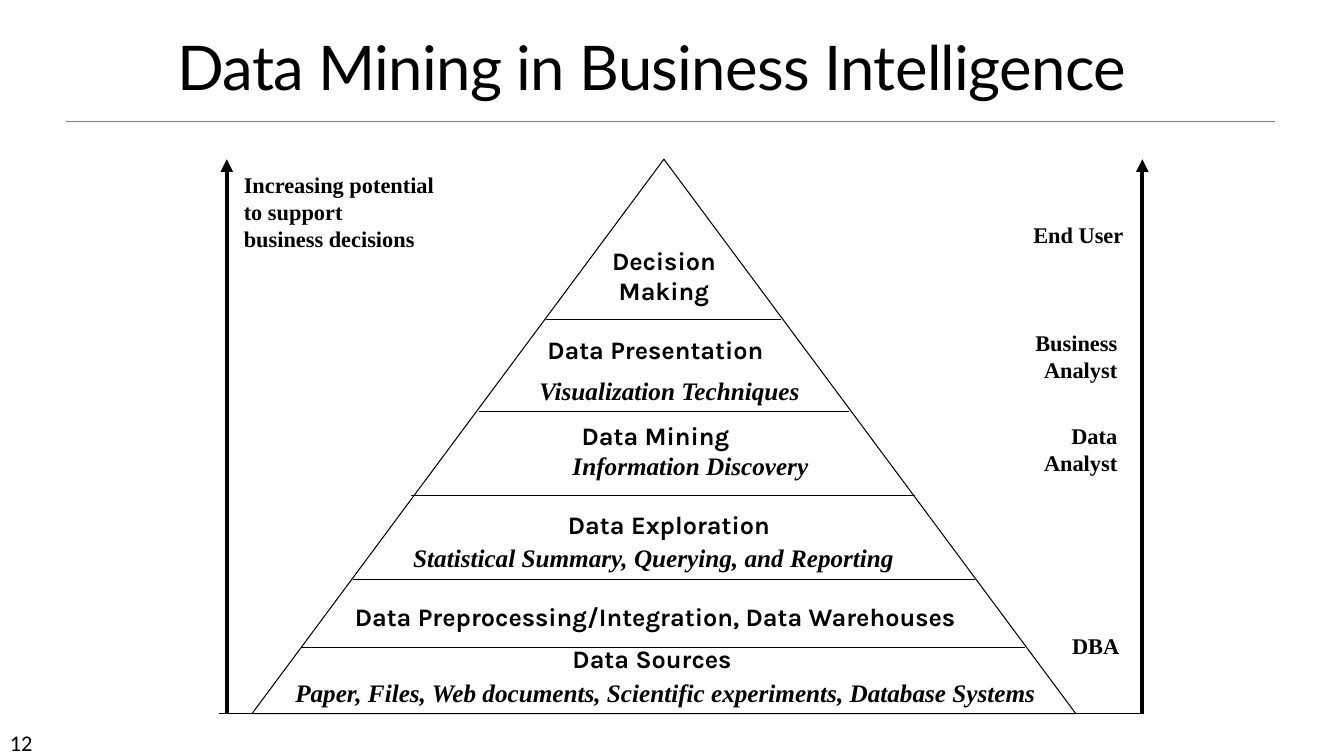
"""Build the business intelligence pyramid slide."""
from dataclasses import dataclass
from typing import Any

from lxml import etree
from pptx import Presentation
from pptx import util as u
from pptx.dml import color
from pptx.enum import shapes, text
from pptx.oxml import ns

BLACK = color.RGBColor(0x00, 0x00, 0x00)
GRAY = color.RGBColor(0x80, 0x80, 0x80)

LEFT, CENTER, RIGHT = text.PP_ALIGN.LEFT, text.PP_ALIGN.CENTER, text.PP_ALIGN.RIGHT
ANCHOR_TOP, ANCHOR_MIDDLE = text.MSO_ANCHOR.TOP, text.MSO_ANCHOR.MIDDLE

TITLE = {"name": "Lato", "size": u.Pt(44)}
PAGE_NUMBER = {"name": "Calibri", "size": u.Pt(16)}
SIDE_LABEL = {"name": "Times New Roman", "size": u.Pt(16), "bold": True}
LAYER_NAME = {"name": "Karla", "size": u.Pt(18), "bold": True}
LAYER_DETAIL = {"name": "Times New Roman", "size": u.Pt(18), "bold": True, "italic": True}

PYRAMID_TOP, BASELINE = 1.58, 7.08


@dataclass(frozen=True)
class Label:
    lines: tuple[str, ...]
    left: float
    top: float
    width: float
    height: float
    font: dict[str, Any]
    align: Any = LEFT
    wrap: bool = False
    grow: bool = True
    anchor: Any = ANCHOR_TOP
    line_spacing: float = 1.0
    letter_spacing: float = 0


@dataclass(frozen=True)
class Line:
    start: tuple[float, float]
    end: tuple[float, float]
    width: float = 0.75
    ink: color.RGBColor = BLACK
    arrow: bool = False


def layer(name: str, left: float, top: float, width: float, **options: Any) -> Label:
    """Describe the name of one pyramid layer."""
    return Label((name,), left, top, width, 0.4, LAYER_NAME, **options)


def detail(words: str, left: float, top: float, width: float, wrap: bool = False) -> Label:
    """Describe the italic detail under a layer name."""
    return Label((words,), left, top, width, 0.4, LAYER_DETAIL, wrap=wrap)


def role(lines: tuple[str, ...], left: float, top: float, width: float) -> Label:
    """Describe a right-aligned user role."""
    return Label(lines, left, top, width, 0.1 + 0.27 * len(lines), SIDE_LABEL, RIGHT)


LABELS = [
    Label(("12",), 0, 7.18, 1.17, 0.3, PAGE_NUMBER, wrap=True, grow=False),
    Label(("Data Mining in Business Intelligence ",), 0.56, 0.42, 11.96, 0.58, TITLE, CENTER,
          wrap=True, grow=False, anchor=ANCHOR_MIDDLE, line_spacing=0.85, letter_spacing=-0.5),
    Label(("Increasing potential", "to support", "business decisions"),
          2.32, 1.65, 2.1, 0.9, SIDE_LABEL),
    role(("End User",), 10.14, 2.14, 1.1),
    role(("Business", "Analyst"), 10.14, 3.22, 1.04),
    role(("Data", "Analyst"), 10.24, 4.14, 0.94),
    role(("DBA",), 10.53, 6.22, 0.67),
    layer("Decision Making", 5.92, 2.38, 1.33, align=CENTER, wrap=True),
    layer("Data Presentation", 5.33, 3.27, 2.47),
    detail("Visualization Techniques", 5.25, 3.67, 2.82),
    layer("Data Mining", 5.67, 4.12, 1.95, wrap=True),
    detail("Information Discovery", 5.58, 4.42, 2.54),
    layer("Data Exploration", 5.35, 5, 2.57, align=CENTER, wrap=True),
    detail("Statistical Summary, Querying, and Reporting", 4, 5.33, 5, wrap=True),
    layer("Data Preprocessing/Integration, Data Warehouses", 3.42, 5.92, 6.59),
    layer("Data Sources", 5.58, 6.33, 1.86),
    detail("Paper, Files, Web documents, Scientific experiments, Database Systems",
           2.83, 6.67, 7.78, wrap=True),
]

LAYER_EDGES = [(3, 10.17, 6.42), (3.5, 9.67, 5.75), (4.08, 9.08, 4.92),
               (4.75, 8.42, 4.08), (5.42, 7.75, 3.17), (2.17, 11.33, BASELINE)]
LINES = [
    Line((0.65, 1.2), (12.65, 1.2), 0.5, GRAY),
    *(Line((left, y), (right, y)) for left, right, y in LAYER_EDGES),
    *(Line((x, BASELINE), (x, PYRAMID_TOP), 3, arrow=True) for x in (2.25, 11.33)),
]


def apply(target: Any, values: dict[str, Any]) -> None:
    """Set each named attribute on the target."""
    for name, value in values.items():
        setattr(target, name, value)


def draw_pyramid(slide: Any) -> None:
    """Draw the pyramid outline."""
    shape = slide.shapes.add_shape(
        shapes.MSO_SHAPE.FLOWCHART_EXTRACT, u.Inches(2.5), u.Inches(PYRAMID_TOP),
        u.Inches(8.17), u.Inches(BASELINE - PYRAMID_TOP))
    shape.shadow.inherit = False
    shape.fill.background()
    shape.line.color.rgb = BLACK
    shape.line.width = u.Pt(0.75)


def draw_line(slide: Any, line: Line) -> None:
    """Draw one straight line, with an arrowhead if asked."""
    connector = slide.shapes.add_connector(
        shapes.MSO_CONNECTOR.STRAIGHT, *map(u.Inches, (*line.start, *line.end)))
    connector.line.color.rgb = line.ink
    connector.line.width = u.Pt(line.width)
    properties = connector._element.spPr
    if line.arrow:
        outline = properties.find(ns.qn("a:ln"))
        etree.SubElement(outline, ns.qn("a:tailEnd"), type="triangle")
    etree.SubElement(properties, ns.qn("a:effectLst"))


def draw_label(slide: Any, label: Label) -> None:
    """Draw one text box."""
    box = slide.shapes.add_textbox(
        *map(u.Inches, (label.left, label.top, label.width, label.height)))
    frame = box.text_frame
    fit = text.MSO_AUTO_SIZE.SHAPE_TO_FIT_TEXT if label.grow else text.MSO_AUTO_SIZE.NONE
    apply(frame, {"word_wrap": label.wrap, "auto_size": fit, "vertical_anchor": label.anchor})
    for index, words in enumerate(label.lines):
        paragraph = frame.add_paragraph() if index else frame.paragraphs[0]
        apply(paragraph, {"alignment": label.align, "line_spacing": label.line_spacing})
        run = paragraph.add_run()
        run.text = words
        apply(run.font, label.font)
        run.font.color.rgb = BLACK
        if label.letter_spacing:
            run._r.get_or_add_rPr().set("spc", str(round(label.letter_spacing * 100)))


def main() -> None:
    """Create and save the presentation."""
    presentation = Presentation()
    apply(presentation, {"slide_width": u.Inches(13.33), "slide_height": u.Inches(7.5)})
    slide = presentation.slides.add_slide(presentation.slide_layouts[6])
    draw_pyramid(slide)
    for line in LINES:
        draw_line(slide, line)
    for label in LABELS:
        draw_label(slide, label)
    presentation.save("out.pptx")


if __name__ == "__main__":
    main()
